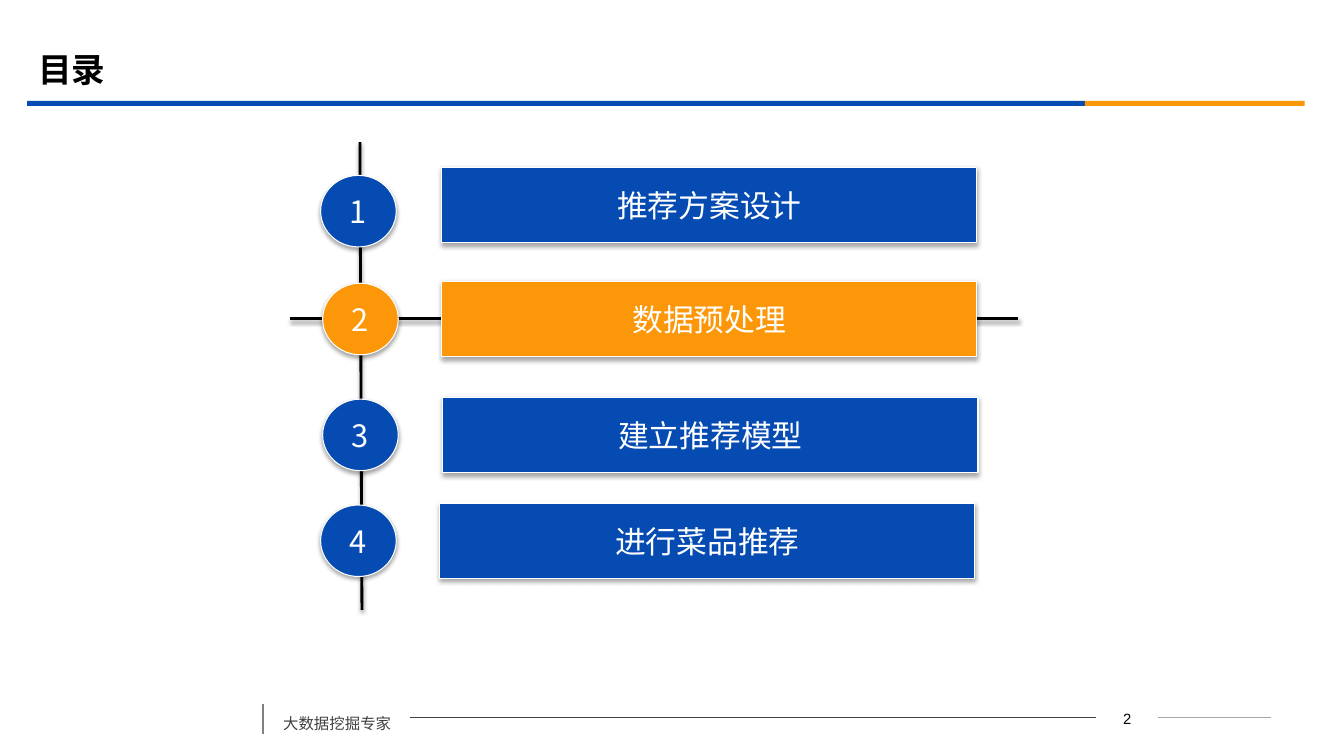
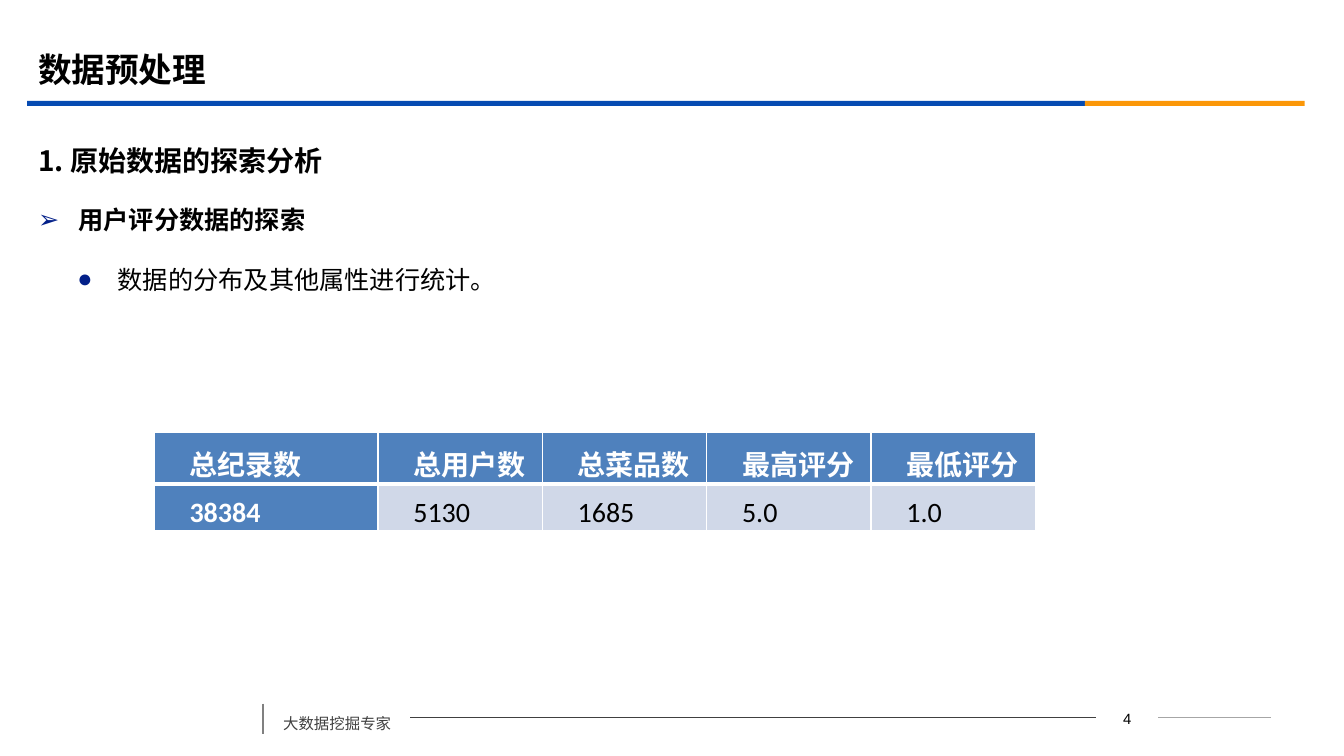
"""Build an agenda slide and a data exploration slide with a shared frame."""
from dataclasses import dataclass

from lxml.etree import SubElement
from pptx import Presentation
from pptx.dml.color import RGBColor as Rgb
from pptx.enum.shapes import MSO_CONNECTOR as Connector, MSO_SHAPE as Shape
from pptx.enum.text import MSO_ANCHOR as Anchor, PP_ALIGN as Align
from pptx.oxml.ns import qn
from pptx.util import Inches, Pt


@dataclass(frozen=True)
class Theme:
    """Colours, fonts and type sizes of the deck."""

    blue: str = "064BB2"
    orange: str = "FB9708"
    bullet: str = "032089"
    header: str = "4F81BD"
    cell: str = "D0D8E8"
    white: str = "FFFFFF"
    black: str = "000000"
    dark: str = "404040"
    middle: str = "808080"
    light: str = "A6A6A6"
    sans: str = "Noto Sans CJK SC"
    number: str = "Arial"
    table: str = "Calibri"
    title_size: float = 24
    label_size: float = 22
    heading_size: float = 20
    body_size: float = 18
    footer_size: float = 11
    page_size: float = 10.6


theme = Theme()


def write(para, text, size, color, name=theme.sans, bold=False, **para_format):
    """Put one formatted run into a paragraph."""
    for key, value in para_format.items():
        setattr(para, key, value)
    span = para.add_run()
    span.text = text
    span.font.color.rgb = Rgb.from_string(color)
    for key, value in {"size": Pt(size), "name": name, "bold": bold}.items():
        setattr(span.font, key, value)
    SubElement(span.font._element, qn("a:ea"), typeface=theme.sans)


def finish(shape, color=None, width=0, distance=0, alpha=0):
    """Set the outline and the drop shadow of a shape or connector."""
    if color:
        shape.line.color.rgb = Rgb.from_string(color)
        shape.line.width = Pt(width)
    else:
        shape.line.fill.background()
    effects = SubElement(shape._element.spPr, qn("a:effectLst"))
    if distance:
        shadow = SubElement(
            effects, qn("a:outerShdw"), blurRad=str(Pt(3.1)), dist=str(Pt(distance)),
            dir="5400000", rotWithShape="0")
        tint = SubElement(shadow, qn("a:srgbClr"), val=theme.black)
        SubElement(tint, qn("a:alpha"), val=str(alpha * 1000))


deck = Presentation()
deck.slide_width, deck.slide_height = Inches(13.33), Inches(7.5)

bands = [(0.27, 10.49, theme.blue), (10.76, 2.18, theme.orange)]
footer_lines = [
    ((11.49, 7.12, 12.61, 7.12), theme.light, 0.75),
    ((4.07, 7.12, 10.87, 7.12), theme.dark, 0.75),
    ((2.61, 6.98, 2.61, 7.28), theme.middle, 1.25),
]
title_style = {"size": theme.title_size, "color": theme.black, "bold": True}
heading_style = {"size": theme.heading_size, "color": theme.black, "bold": True,
                 "space_before": Pt(4)}
footer_style = {"size": theme.footer_size, "color": theme.dark,
                "line_spacing": 1.5, "space_before": Pt(6)}
page_style = {"size": theme.page_size, "color": theme.black, "name": theme.number,
              "alignment": Align.CENTER}

pages = []
for title, number, heading in [("目录", "2", None),
                               ("数据预处理", "4", "1. 原始数据的探索分析")]:
    page = deck.slides.add_slide(deck.slide_layouts[6])
    pages.append(page)
    for left, width, color in bands:
        band = page.shapes.add_shape(
            Shape.RECTANGLE, Inches(left), Inches(1), Inches(width), Inches(0.05))
        band.fill.solid()
        band.fill.fore_color.rgb = Rgb.from_string(color)
        finish(band)
    for ends, color, width in footer_lines:
        rule = page.shapes.add_connector(Connector.STRAIGHT, *map(Inches, ends))
        finish(rule, color, width)
    texts = [
        ((0.28, 0.39, 12, 0.58), title, Anchor.MIDDLE, title_style),
        ((2.71, 6.94, 1.36, 0.38), "大数据挖掘专家", Anchor.TOP, footer_style),
        ((10.87, 6.99, 0.62, 0.25), number, Anchor.TOP, page_style),
    ]
    if heading:
        texts.append(((0.28, 1.36, 12.15, 0.47), heading, Anchor.MIDDLE, heading_style))
    for place, text, anchor, style in texts:
        frame = page.shapes.add_textbox(*map(Inches, place)).text_frame
        frame.word_wrap = True
        frame.vertical_anchor = anchor
        write(frame.paragraphs[0], text, **style)

agenda, exploration = pages

for ends in [(3.57, 1.41, 3.59, 6.05), (2.88, 3.16, 10.1, 3.16)]:
    axis = agenda.shapes.add_connector(Connector.STRAIGHT, *map(Inches, ends))
    finish(axis, theme.black, 2, distance=1.6, alpha=38)

topics = [
    ("推荐方案设计", theme.blue, (4.38, 1.66), (3.18, 1.74)),
    ("数据预处理", theme.orange, (4.38, 2.79), (3.2, 2.81)),
    ("建立推荐模型", theme.blue, (4.39, 3.94), (3.2, 3.96)),
    ("进行菜品推荐", theme.blue, (4.36, 4.99), (3.18, 5.01)),
]
for index, (topic, color, bar_corner, circle_corner) in enumerate(topics, 1):
    for kind, corner, size, text in [
        (Shape.ACTION_BUTTON_CUSTOM, bar_corner, (5.31, 0.75), topic),
        (Shape.OVAL, circle_corner, (0.75, 0.71), str(index)),
    ]:
        box = agenda.shapes.add_shape(kind, *map(Inches, corner + size))
        box.fill.solid()
        box.fill.fore_color.rgb = Rgb.from_string(color)
        finish(box, theme.white, 0.75, distance=1.8, alpha=35)
        frame = box.text_frame
        frame.word_wrap = False
        frame.vertical_anchor = Anchor.MIDDLE
        write(frame.paragraphs[0], text, theme.label_size, theme.white,
              alignment=Align.CENTER)

body = exploration.shapes.add_textbox(
    Inches(0.28), Inches(1.83), Inches(12), Inches(2.1)).text_frame
body.word_wrap = True
bullets = [("➢", 0.4, "用户评分数据的探索", True),
           ("●", 0.79, "数据的分布及其他属性进行统计。", False)]
for index, (mark, margin, text, bold) in enumerate(bullets):
    para = body.add_paragraph() if index else body.paragraphs[0]
    write(para, text, theme.body_size, theme.black, bold=bold,
          line_spacing=1.5, space_before=Pt(10))
    layout = para._p.get_or_add_pPr()
    layout.set("marL", str(Inches(margin)))
    layout.set("indent", str(Inches(-0.4)))
    tint = SubElement(layout, qn("a:buClr"))
    SubElement(tint, qn("a:srgbClr"), val=theme.bullet)
    SubElement(layout, qn("a:buFont"), typeface=theme.number)
    SubElement(layout, qn("a:buChar"), char=mark)

records = [("总纪录数", "总用户数", "总菜品数", "最高评分", "最低评分"),
           ("38384", "5130", "1685", "5.0", "1.0")]
widths = [2.22] + [1.63] * 4
heights = [0.51, 0.46]
table = exploration.shapes.add_table(
    len(records), len(widths), Inches(1.53), Inches(4.29),
    Inches(sum(widths)), Inches(sum(heights))).table
for column, width in zip(table.columns, widths):
    column.width = Inches(width)
for row, height in zip(table.rows, heights):
    row.height = Inches(height)

cell_format = {"margin_left": Inches(0.07), "margin_right": Inches(0.07),
               "margin_top": 0, "margin_bottom": 0, "vertical_anchor": Anchor.BOTTOM}
for row_index, record in enumerate(records):
    borders = {"lnL": 1, "lnR": 1, "lnT": 3 if row_index else 1,
               "lnB": 1 if row_index else 3}
    for column_index, text in enumerate(record):
        cell = table.cell(row_index, column_index)
        strong = row_index == 0 or column_index == 0
        for key, value in cell_format.items():
            setattr(cell, key, value)
        for side, width in borders.items():
            edge = SubElement(cell._tc.get_or_add_tcPr(), qn(f"a:{side}"),
                              w=str(Pt(width)))
            paint = SubElement(edge, qn("a:solidFill"))
            SubElement(paint, qn("a:srgbClr"), val=theme.white)
        cell.fill.solid()
        cell.fill.fore_color.rgb = Rgb.from_string(theme.header if strong else theme.cell)
        para = cell.text_frame.paragraphs[0]
        write(para, text, theme.heading_size, theme.white if strong else theme.black,
              theme.table, strong, alignment=Align.JUSTIFY)
        for key in ("marL", "indent"):
            para._p.get_or_add_pPr().set(key, str(Inches(0.14)))

deck.save("out.pptx")
